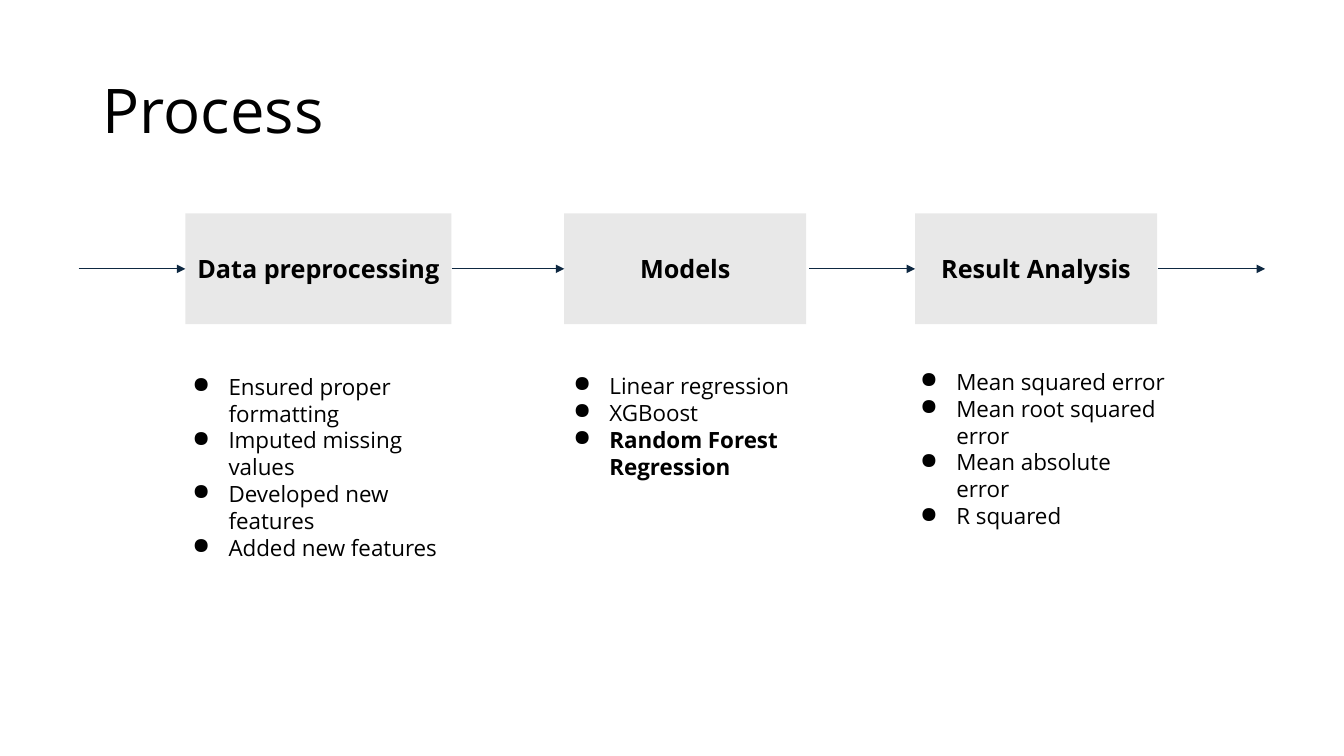
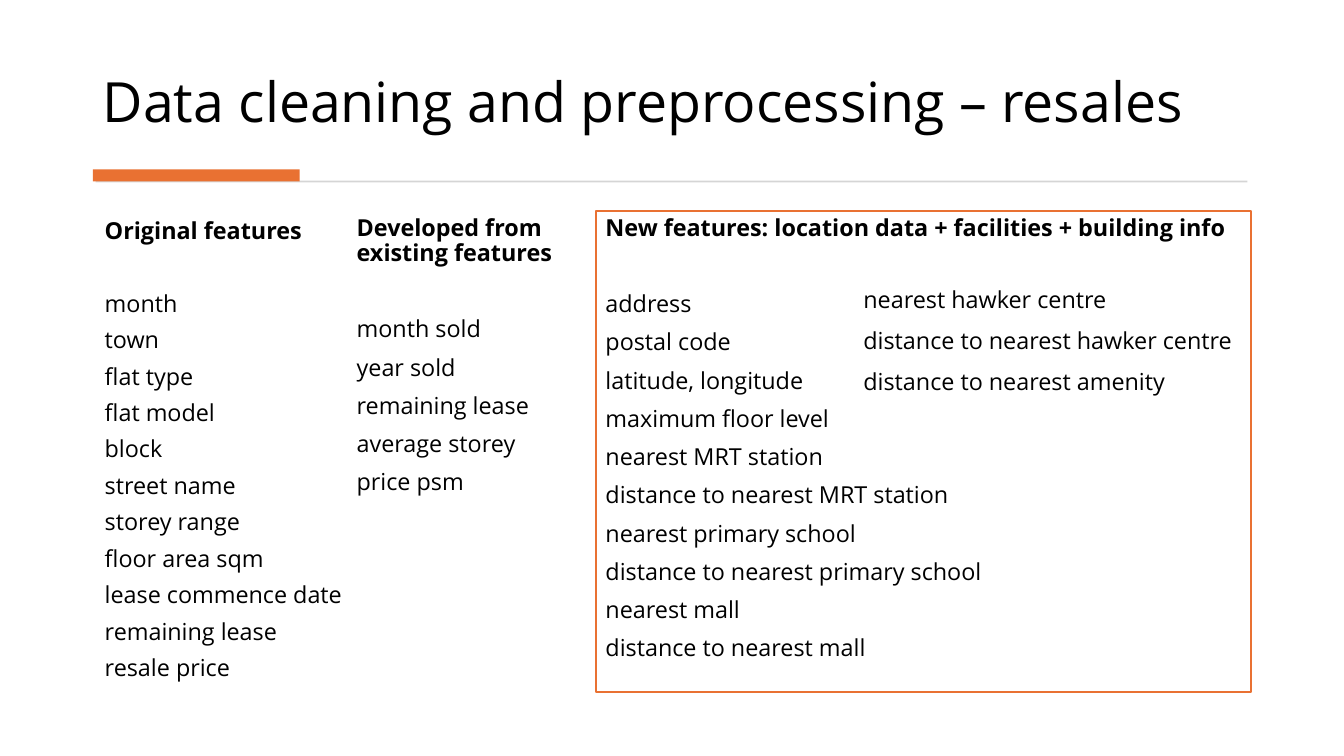
import pptx
import pptx.dml.color
import pptx.enum.shapes
import pptx.enum.text
import pptx.oxml
import pptx.oxml.ns
import pptx.util
from dataclasses import dataclass
from lxml import etree

Cm = pptx.util.Cm
Pt = pptx.util.Pt
RGB = pptx.dml.color.RGBColor.from_string
ANCHOR = pptx.enum.text.MSO_ANCHOR
ALIGN = pptx.enum.text.PP_ALIGN
RECTANGLE = pptx.enum.shapes.MSO_SHAPE.RECTANGLE
STRAIGHT = pptx.enum.shapes.MSO_CONNECTOR.STRAIGHT
qn = pptx.oxml.ns.qn


@dataclass(frozen=True)
class Theme:
    font: str = "Open Sans"
    text: str = "000000"
    step: str = "E8E8E8"
    arrow: str = "0E2841"
    rule: str = "D5D5D5"
    accent: str = "E97132"
    title_size: float = 44
    long_title_size: float = 39.6
    step_size: float = 18
    bullet_size: float = 16
    feature_size: float = 16.7


theme = Theme()


def add_rect(s, x, y, w, h, fill):
    sp = s.shapes.add_shape(RECTANGLE, Cm(x), Cm(y), Cm(w), Cm(h))
    sp.shadow.inherit = False
    sp.line.fill.background()
    sp.fill.solid()
    sp.fill.fore_color.rgb = RGB(fill)
    return sp


def write(sp, lines, size, anchor=ANCHOR.TOP, inset=0.13, spacing=1.0,
          before=0, align=ALIGN.LEFT, bold=()):
    """Fill a shape with one paragraph per line; bold lists the bold lines."""
    tf = sp.text_frame
    tf.word_wrap = True
    tf.vertical_anchor = anchor
    tf.margin_left = tf.margin_right = Cm(0.25)
    tf.margin_top = tf.margin_bottom = Cm(inset)
    tf.text = "\n".join(lines)
    for i, p in enumerate(tf.paragraphs):
        p.alignment = align
        p.line_spacing = spacing
        p.space_before = Pt(before if i else 0)
        font = p.runs[0].font
        font.name = theme.font
        font.size = Pt(size)
        font.bold = lines[i] in bold
        font.color.rgb = RGB(theme.text)
    return tf


prs = pptx.Presentation()
prs.slide_width, prs.slide_height = Cm(33.87), Cm(19.05)

# Titles
titles = [
    ("Process", 1.02, 3.68, theme.title_size, ANCHOR.MIDDLE),
    ("Data cleaning and preprocessing – resales", 0.71, 2.82,
     theme.long_title_size, ANCHOR.BOTTOM),
]
slides = []
for title, y, h, size, anchor in titles:
    s = prs.slides.add_slide(prs.slide_layouts[6])
    sp = s.shapes.add_textbox(Cm(2.34), Cm(y), Cm(29.2), Cm(h))
    write(sp, [title], size, anchor, spacing=0.9)
    slides.append(s)
process, features = slides

# Process: steps with bullets below
step_top, step_height = 5.38, 2.79
steps = [
    ("Data preprocessing", 4.67, 6.71, (4.24, 7.57, 7.19),
     ["Ensured proper formatting", "Imputed missing values",
      "Developed new features", "Added new features"]),
    ("Models", 14.22, 6.1, (13.84, 6.86, 5.13),
     ["Linear regression", "XGBoost", "Random Forest Regression"]),
    ("Result Analysis", 23.06, 6.1, (22.58, 7.09, 6.27),
     ["Mean squared error", "Mean root squared error",
      "Mean absolute error", "R squared"]),
]
for name, x, w, (list_x, list_w, list_h), bullets in steps:
    sp = add_rect(process, x, step_top, w, step_height, theme.step)
    write(sp, [name], theme.step_size, ANCHOR.MIDDLE, inset=0.25,
          align=ALIGN.CENTER, bold=[name])

    sp = process.shapes.add_textbox(Cm(list_x), Cm(step_top + step_height),
                                    Cm(list_w), Cm(list_h))
    tf = write(sp, bullets, theme.bullet_size, ANCHOR.MIDDLE, inset=0.25,
               bold=["Random Forest Regression"])
    for p in tf.paragraphs:
        pPr = p._p.get_or_add_pPr()
        pPr.set("marL", str(Cm(1.27)))
        pPr.set("indent", str(-Cm(0.91)))
        etree.SubElement(pPr, qn("a:buChar")).set("char", "●")

arrow_y = Cm(step_top + step_height / 2)
for x1, x2 in [(1.98, 4.67), (11.38, 14.22), (20.4, 23.06), (29.18, 31.88)]:
    arrow = process.shapes.add_connector(STRAIGHT, Cm(x1), arrow_y, Cm(x2), arrow_y)
    arrow.line.color.rgb = RGB(theme.arrow)
    arrow.line.width = Pt(0.75)
    etree.SubElement(arrow.line._get_or_add_ln(), qn("a:tailEnd")).set("type", "triangle")
    etree.SubElement(arrow._element.spPr, qn("a:effectLst"))

# Features: rule under the title, then columns
add_rect(features, 2.41, 4.55, 29.03, 0.05, theme.rule)
add_rect(features, 2.34, 4.27, 5.21, 0.3, theme.accent)

# Each column: heading, left, width, line spacing, space before, heading gap, items
columns = [
    ("Original features", 2.39, 6.93, 1.0, 6, 32,
     ["month", "town", "flat type", "flat model", "block", "street name",
      "storey range", "floor area sqm", "lease commence date",
      "remaining lease", "resale price"]),
    ("Developed from existing features", 8.74, 5.79, 0.9, 9.3, 36.6,
     ["month sold", "year sold", "remaining lease", "average storey", "price psm"]),
    ("New features: location data + facilities + building info",
     15.01, 16.51, 0.9, 9.3, 36.6,
     ["address", "postal code", "latitude, longitude", "maximum floor level",
      "nearest MRT station", "distance to nearest MRT station",
      "nearest primary school", "distance to nearest primary school",
      "nearest mall", "distance to nearest mall"]),
]
for heading, x, w, spacing, before, gap, items in columns:
    column = features.shapes.add_textbox(Cm(x), Cm(5.31), Cm(w), Cm(12.12))
    tf = write(column, [heading] + items, theme.feature_size, spacing=spacing,
               before=before, bold=[heading])
    tf.paragraphs[1].space_before = Pt(gap)

# The last column is framed and has a second list
column.line.color.rgb = RGB(theme.accent)
column.line.width = Pt(1.5)
sp = features.shapes.add_textbox(Cm(21.51), Cm(7.06), Cm(9.93), Cm(3.07))
write(sp, ["nearest hawker centre", "distance to nearest hawker centre",
           "distance to nearest amenity"], theme.feature_size, before=9.3)

prs.save("out.pptx")
